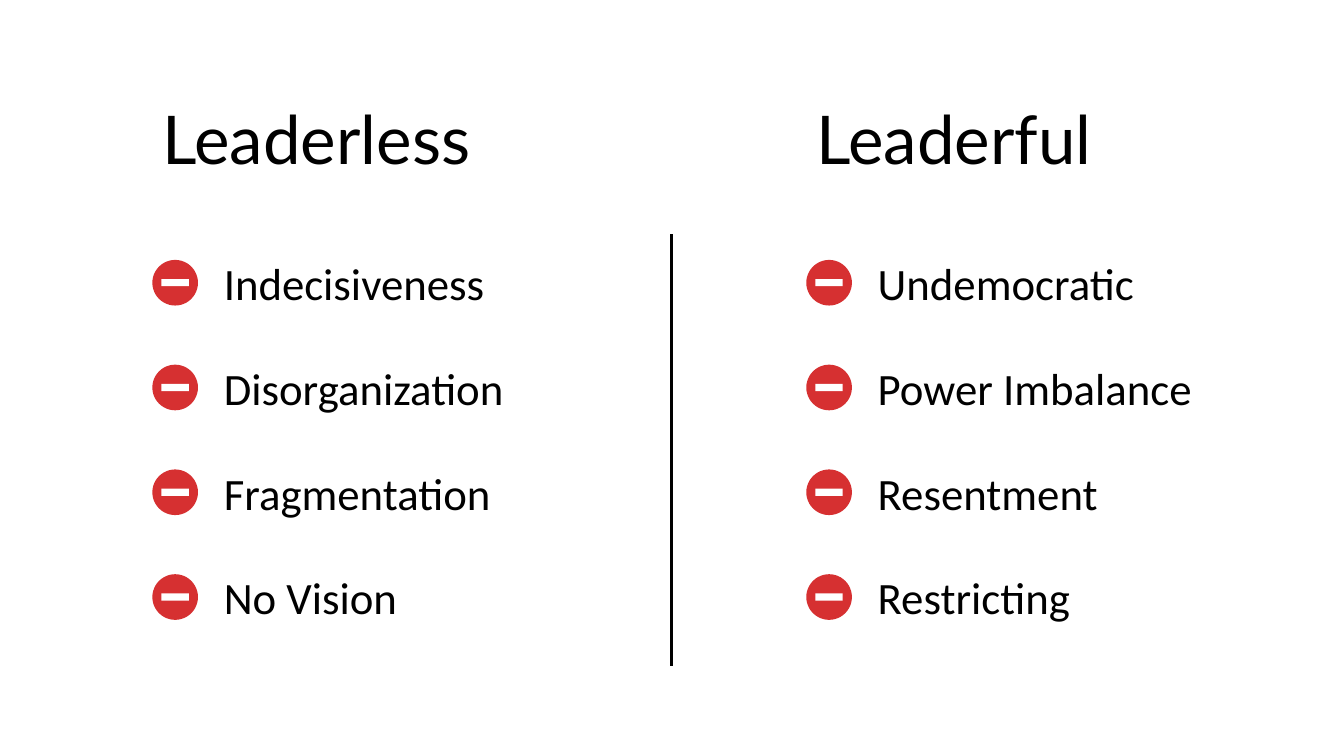
from lxml import etree
from pptx import Presentation
from pptx import util as u
from pptx.dml.color import RGBColor
from pptx.enum import shapes, text
from pptx.oxml.ns import qn

BLACK = RGBColor(0x00, 0x00, 0x00)
WHITE = RGBColor(0xFF, 0xFF, 0xFF)
RED = RGBColor(0xD6, 0x30, 0x31)

# Column layout in cm
TOP = 6.55
ROW_PITCH = 2.64
BADGE = 1.15
BAR_W, BAR_H = 0.69, 0.18

# Left edge, heading and its width, items with their text widths
COLUMNS = [
    (3.84, "Leaderless", 10.39, [
        ("Indecisiveness", 7.14), ("Disorganization", 7.65),
        ("Fragmentation", 7.32), ("No Vision", 4.93)]),
    (20.32, "Leaderful", 9.73, [
        ("Undemocratic", 7.29), ("Power Imbalance", 8.76),
        ("Resentment", 6.12), ("Restricting", 5.41)]),
]


class ComparisonSlide:
    heading_style = ("Lato", 48)
    item_style = ("Calibri", 32)

    def __init__(self, prs):
        self.s = prs.slides.add_slide(prs.slide_layouts[6])

    def block(self, group, kind, x, y, w, h, color):
        sp = group.shapes.add_shape(kind, u.Cm(x), u.Cm(y), u.Cm(w), u.Cm(h))
        sp.shadow.inherit = False
        sp.fill.solid()
        sp.fill.fore_color.rgb = color
        sp.line.fill.background()

    def label(self, group, words, x, y, w, h, style, wrap=False):
        sp = group.shapes.add_textbox(u.Cm(x), u.Cm(y), u.Cm(w), u.Cm(h))
        tf = sp.text_frame
        tf.word_wrap = wrap
        tf.auto_size = text.MSO_AUTO_SIZE.SHAPE_TO_FIT_TEXT
        p = tf.paragraphs[0]
        p.alignment = text.PP_ALIGN.LEFT
        r = p.add_run()
        r.text = words
        r.font.name, size = style
        r.font.size = u.Pt(size)
        r.font.color.rgb = BLACK

    def minus_badge(self, group, x, y):
        self.block(group, shapes.MSO_SHAPE.OVAL, x, y, BADGE, BADGE, RED)
        self.block(group, shapes.MSO_SHAPE.RECTANGLE, x + (BADGE - BAR_W) / 2,
                   y + (BADGE - BAR_H) / 2, BAR_W, BAR_H, WHITE)

    def column(self, x, heading, heading_w, items):
        group = self.s.shapes.add_group_shape()
        for row, (words, w) in enumerate(items):
            y = TOP + row * ROW_PITCH
            self.minus_badge(group, x, y)
            self.label(group, words, x + 1.55, y - 0.23, w, 1.62, self.item_style)
        self.label(group, heading, x, 2.34, heading_w, 2.31,
                   self.heading_style, wrap=True)

    def divider(self, x, y1, y2):
        line = self.s.shapes.add_connector(
            shapes.MSO_CONNECTOR.STRAIGHT, u.Cm(x), u.Cm(y1), u.Cm(x), u.Cm(y2))
        line.line.color.rgb = BLACK
        line.line.width = u.Pt(2.25)
        etree.SubElement(line._element.spPr, qn("a:effectLst"))


def main():
    prs = Presentation()
    prs.slide_width, prs.slide_height = u.Cm(33.87), u.Cm(19.05)
    slide = ComparisonSlide(prs)

    # Two lists of drawbacks
    for column in COLUMNS:
        slide.column(*column)

    # Line between the lists
    slide.divider(16.93, 5.9, 16.77)

    prs.save("out.pptx")


if __name__ == "__main__":
    main()
